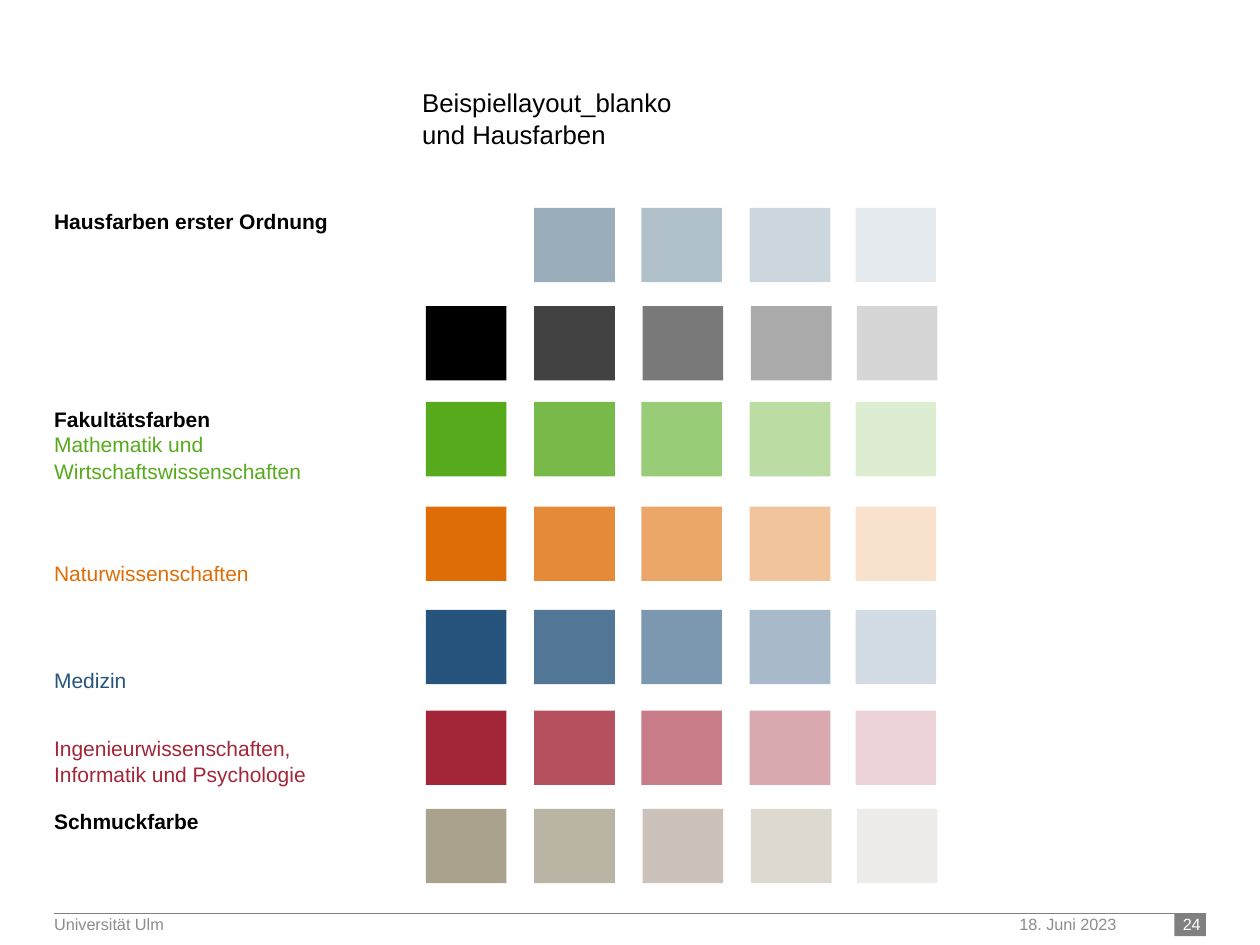
"""Build the house colour overview slide."""
from dataclasses import dataclass

from lxml import etree
from pptx import Presentation, util as u
from pptx.dml.color import RGBColor
from pptx.enum import shapes, text
from pptx.oxml.ns import qn

FONT = "Arial"
GREY, FOOTER_GREY = "808080", "8C8C8C"
BLACK, WHITE = "000000", "FFFFFF"
GREEN, ORANGE, BLUE, RED = "56AA1C", "DF6D07", "26547C", "A32638"
MARGIN = 0.43
FOOTER_TOP = 7.25
SWATCH_W, SWATCH_H = 0.64, 0.59
COLUMNS = (3.38, 4.24, 5.09, 5.95, 6.79)
SHIFTED_COLUMNS = (3.38, 4.24, 5.1, 5.96, 6.8)


@dataclass
class SwatchRow:
    top: float
    colours: tuple[str, ...]
    columns: tuple[float, ...] = COLUMNS


@dataclass
class Label:
    lines: tuple[str, ...]
    left: float
    top: float
    width: float
    height: float
    colour: str = BLACK
    size: float = 12
    bold: bool = False
    align: text.PP_ALIGN = text.PP_ALIGN.LEFT
    spacing: float = 1.04


def caption(line: str, top: float, height: float = 0.2,
            colour: str = BLACK, bold: bool = False) -> Label:
    return Label((line,), MARGIN, top, 2.54, height, colour, bold=bold)


def footer(line: str, left: float, width: float, colour: str = FOOTER_GREY,
           align: text.PP_ALIGN = text.PP_ALIGN.LEFT) -> Label:
    return Label((line,), left, FOOTER_TOP + 0.01, width, 0.24, colour, 9.3,
                 align=align, spacing=1)


ROWS = (
    SwatchRow(1.65, ("99ADBA", "B0C1CB", "CBD7DC", "E4EAED")),
    SwatchRow(2.43, (BLACK, "424242", "797979", "AAAAAA", "D6D6D6"), SHIFTED_COLUMNS),
    SwatchRow(3.19, (GREEN, "77BA49", "99CC76", "BBDDA4", "DDEDD1")),
    SwatchRow(4.02, (ORANGE, "E58A38", "EBA769", "F2C49C", "F8E1CD")),
    SwatchRow(4.84, (BLUE, "517696", "7C98B0", "A8BACA", "D3DCE4")),
    SwatchRow(5.64, (RED, "B5515F", "C77C87", "DAA8AF", "ECD3D7")),
    SwatchRow(6.42, ("A9A28D", "BAB4A4", "CBC2BB", "DDD9D1", "EEECE8"), SHIFTED_COLUMNS),
)

LABELS = (
    footer("18. Juni 2023", 8.09, 1.09),
    footer("Universität Ulm", MARGIN, 6.49),
    footer("24", 9.17, 0.36, WHITE, text.PP_ALIGN.RIGHT),
    caption("Hausfarben erster Ordnung", 1.65, bold=True),
    caption("Fakultätsfarben", 3.22, bold=True),
    caption("Mathematik und Wirtschaftswissenschaften", 3.42, 0.4, GREEN),
    caption("Naturwissenschaften", 4.44, colour=ORANGE),
    caption("Medizin", 5.29, colour=BLUE),
    caption("Ingenieurwissenschaften, Informatik und Psychologie", 5.83, 0.4, RED),
    caption("Schmuckfarbe", 6.41, bold=True),
    Label(("Beispiellayout_blanko", "und Hausfarben"), 3.35, 0.68, 5.91, 0.49, size=14.7),
)


def rgb(colour: str) -> RGBColor:
    return RGBColor.from_string(colour)


def add_rect(s, left: float, top: float, width: float, height: float, colour: str) -> None:
    sp = s.shapes.add_shape(shapes.MSO_SHAPE.RECTANGLE, u.Inches(left), u.Inches(top),
                            u.Inches(width), u.Inches(height))
    sp.shadow.inherit = False
    sp.fill.solid()
    sp.fill.fore_color.rgb = rgb(colour)
    sp.line.fill.background()


def add_rule(s, left: float, right: float, top: float) -> None:
    line = s.shapes.add_connector(shapes.MSO_CONNECTOR.STRAIGHT, u.Inches(left),
                                  u.Inches(top), u.Inches(right), u.Inches(top))
    line.line.color.rgb = rgb(GREY)
    line.line.width = u.Pt(0.25)
    etree.SubElement(line._element.spPr, qn("a:effectLst"))


def add_label(s, label: Label) -> None:
    sp = s.shapes.add_textbox(u.Inches(label.left), u.Inches(label.top),
                              u.Inches(label.width), u.Inches(label.height))
    tf = sp.text_frame
    tf.word_wrap = True
    tf.margin_left = tf.margin_right = tf.margin_top = tf.margin_bottom = 0
    tf.text = "\n".join(label.lines)
    for p in tf.paragraphs:
        p.alignment = label.align
        p.line_spacing = label.spacing
        p.font.name = FONT
        p.font.size = u.Pt(label.size)
        p.font.bold = label.bold
        p.font.color.rgb = rgb(label.colour)


def add_swatches(s, row: SwatchRow) -> None:
    for left, colour in zip(row.columns[-len(row.colours):], row.colours):
        add_rect(s, left, row.top, SWATCH_W, SWATCH_H, colour)


def main() -> None:
    prs = Presentation()
    prs.slide_width, prs.slide_height = u.Inches(10), u.Inches(7.5)
    s = prs.slides.add_slide(prs.slide_layouts[6])
    add_rect(s, 9.32, FOOTER_TOP, 0.25, 0.18, GREY)
    add_rule(s, MARGIN, 10 - MARGIN, FOOTER_TOP)
    for row in ROWS:
        add_swatches(s, row)
    for label in LABELS:
        add_label(s, label)
    prs.save("out.pptx")


if __name__ == "__main__":
    main()
